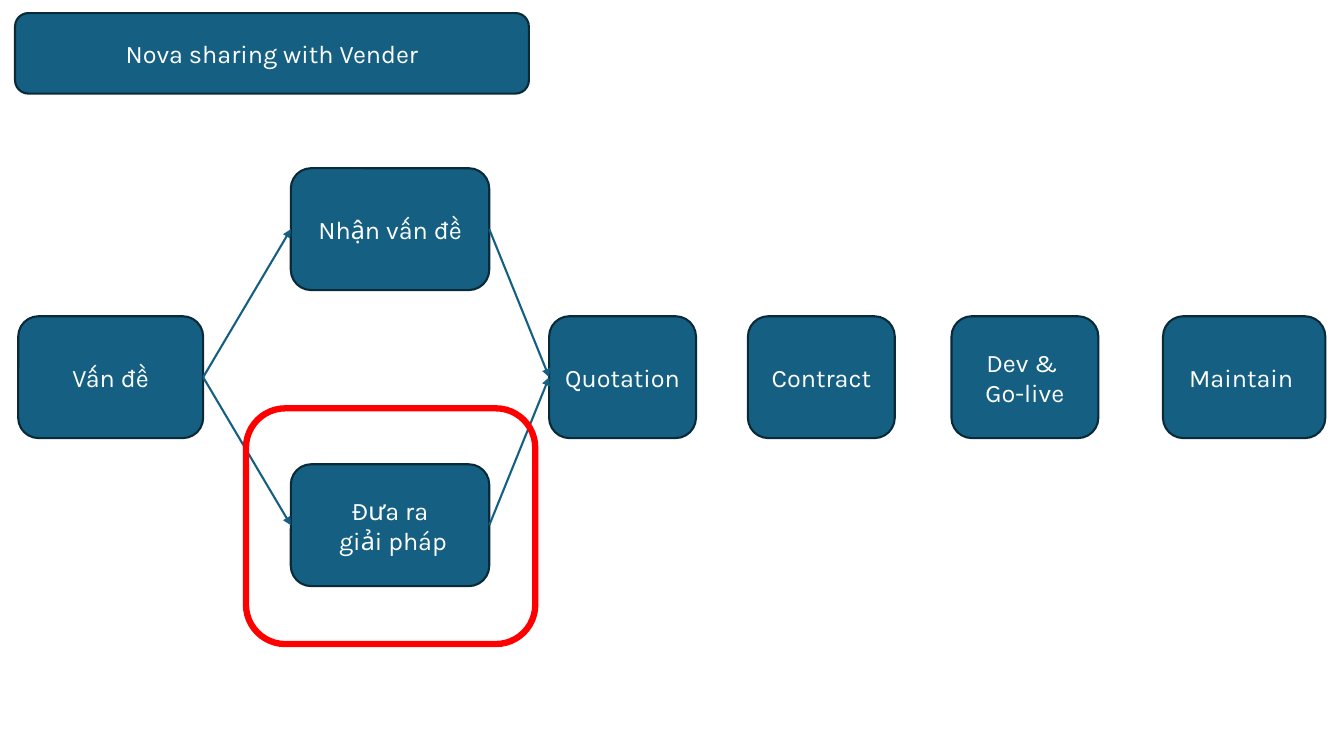
from pptx import Presentation
from pptx.dml.color import RGBColor
from pptx.enum.shapes import MSO_CONNECTOR as LINE, MSO_SHAPE as SHAPE
from pptx.enum.text import MSO_ANCHOR as ANCHOR, PP_ALIGN as ALIGN
from pptx.oxml.ns import qn
from pptx.util import Cm, Pt
from lxml.etree import SubElement

BLUE, NAVY, WHITE, RED = "156082", "092A39", "FFFFFF", "FF0000"
FONT = "Karla"
LEFT_SITE, RIGHT_SITE = 1, 3
BOX_H = 3.07
TOP, MIDDLE, BOTTOM = (4.24 + 3.73 * row for row in range(3))


def color(value):
    """Return the RGB colour of a hex string."""
    return RGBColor.from_string(value)


def add_round_rect(s, x, y, w, h, line, width):
    """Add an outlined rounded rectangle, sized in centimetres."""
    sp = s.shapes.add_shape(SHAPE.ROUNDED_RECTANGLE, Cm(x), Cm(y), Cm(w), Cm(h))
    sp.shadow.inherit = False
    sp.line.color.rgb = color(line)
    sp.line.width = Pt(width)
    return sp


def add_box(s, text, x, y, w, h=BOX_H):
    """Add a filled box with centred text, one paragraph per line."""
    sp = add_round_rect(s, x, y, w, h, NAVY, 1.5)
    sp.fill.solid()
    sp.fill.fore_color.rgb = color(BLUE)
    tf = sp.text_frame
    tf.word_wrap = True
    tf.vertical_anchor = ANCHOR.MIDDLE
    tf.text = text
    for p in tf.paragraphs:
        p.alignment = ALIGN.CENTER
        p.font.name = FONT
        p.font.size = Pt(18)
        p.font.color.rgb = color(WHITE)
    return sp


def add_arrow(s, start, end):
    """Connect the right side of one box to the left side of another."""
    line = s.shapes.add_connector(LINE.STRAIGHT, 0, 0, 0, 0)
    line.begin_connect(start, RIGHT_SITE)
    line.end_connect(end, LEFT_SITE)
    line.line.color.rgb = color(BLUE)
    line.line.width = Pt(1.5)
    SubElement(line.line._get_or_add_ln(), qn("a:tailEnd"), type="triangle")
    SubElement(line._element.spPr, qn("a:effectLst"))


def add_highlight(s, x, y, w, h):
    """Add an unfilled red frame."""
    add_round_rect(s, x, y, w, h, RED, 4.5).fill.background()


def main():
    """Build the vendor process slide."""
    prs = Presentation()
    prs.slide_width, prs.slide_height = Cm(33.87), Cm(19.05)
    s = prs.slides.add_slide(prs.slide_layouts[6])

    add_box(s, "Nova sharing with Vender", 0.38, 0.33, 12.95, 2.03)
    problem = add_box(s, "Vấn đề", 0.46, MIDDLE, 4.66)
    receive = add_box(s, "Nhận vấn đề", 7.33, TOP, 5)
    solution = add_box(s, "Đưa ra\n giải pháp", 7.33, BOTTOM, 5)
    quotation = add_box(s, "Quotation", 13.84, MIDDLE, 3.7)
    add_box(s, "Contract", 18.85, MIDDLE, 3.7)
    add_box(s, "Dev & \nGo-live", 23.98, MIDDLE, 3.7)
    add_box(s, "Maintain ", 29.31, MIDDLE, 4.09)

    for step in (receive, solution):
        add_arrow(s, problem, step)
        add_arrow(s, step, quotation)
    add_highlight(s, 6.2, 10.29, 7.29, 5.94)

    prs.save("out.pptx")


if __name__ == "__main__":
    main()
